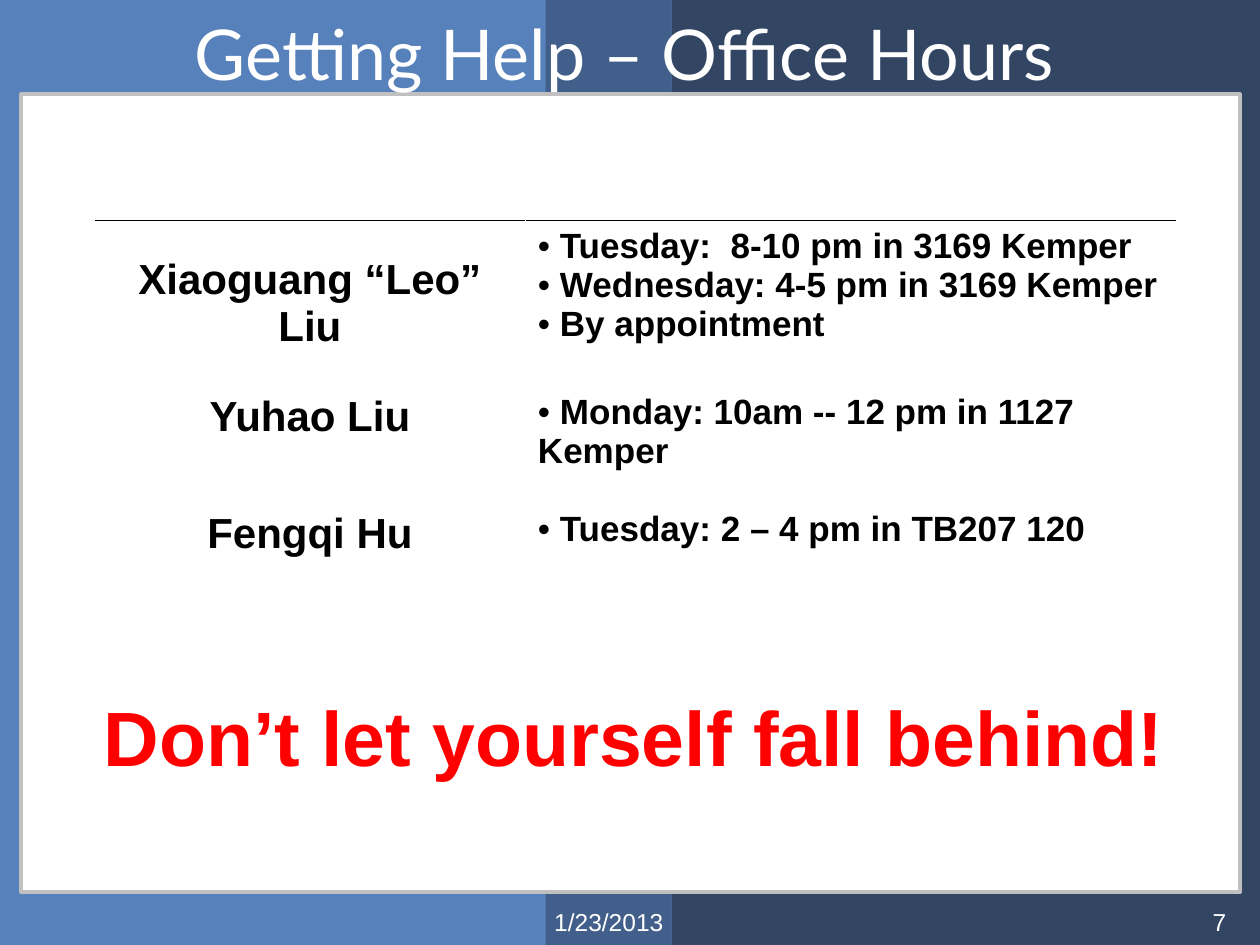
from lxml import etree
from pptx import Presentation
from pptx.dml.color import RGBColor
from pptx.enum import shapes, text
from pptx.oxml.ns import qn
from pptx.util import Inches, Pt

COLORS = {"blue": "5781BB", "mid": "415F8A", "navy": "324664", "white": "FFFFFF",
          "silver": "C0C0C0", "red": "FF0000", "black": "000000"}
LEFT, CENTER, RIGHT = text.PP_ALIGN.LEFT, text.PP_ALIGN.CENTER, text.PP_ALIGN.RIGHT
TOP, MIDDLE = text.MSO_ANCHOR.TOP, text.MSO_ANCHOR.MIDDLE

TITLE = "Getting Help – Office Hours"
# fill, outline, (left, top, width, height)
BACKDROP = [
    ("blue", None, (0, 0, 6.42, 7.5)),
    ("mid", None, (4.33, 0, 1, 7.5)),
    ("navy", None, (5.33, 0, 4.67, 7.5)),
    ("white", "silver", (0.17, 0.75, 9.67, 6.33)),
]
# wording, box, alignment, font
CAPTIONS = [
    ("1/23/2013", (4.3, 7.15, 1.08, 0.35), LEFT, dict(size=14, color="white")),
    ("7", (7.5, 7.15, 2.33, 0.35), RIGHT, dict(size=14, color="white")),
    ("Don’t let yourself fall behind! ", (0.58, 5.42, 9.08, 0.84), CENTER,
     dict(size=44, color="red", bold=True)),
]
# name, anchor of the name, row height, hours
OFFICE_HOURS = [
    ("Xiaoguang “Leo” Liu", MIDDLE, 1.32, ["Tuesday:  8-10 pm in 3169 Kemper",
                                           "Wednesday: 4-5 pm in 3169 Kemper",
                                           "By appointment"]),
    ("Yuhao Liu", TOP, 0.93, ["Monday: 10am -- 12 pm in 1127 Kemper"]),
    ("Fengqi Hu", TOP, 0.83, ["Tuesday: 2 – 4 pm in TB207 120"]),
]
COLUMNS = [3.42, 5.17]


def rgb(name):
    return RGBColor.from_string(COLORS[name])


def inches(box):
    return [Inches(length) for length in box]


def write(paragraph, wording, align, size, color="black", name="Arial", bold=False):
    paragraph.alignment = align
    run = paragraph.add_run()
    run.text = wording
    for key, value in dict(size=Pt(size), name=name, bold=bold).items():
        setattr(run.font, key, value)
    run.font.color.rgb = rgb(color)


def add_bullet(paragraph):
    """Set a bullet with no indent, so wrapped lines start below it."""
    properties = paragraph._p.get_or_add_pPr()
    properties.set("marL", "0")
    properties.set("indent", "0")
    etree.SubElement(properties, qn("a:buFont"), typeface="Arial")
    etree.SubElement(properties, qn("a:buChar"), char="•")


def add_border(cell, side, color):
    line = etree.SubElement(cell._tc.get_or_add_tcPr(), qn(f"a:ln{side}"), w=str(Pt(1)))
    fill = etree.SubElement(line, qn("a:solidFill"))
    etree.SubElement(fill, qn("a:srgbClr"), val=COLORS[color])


def add_backdrop(slide):
    for fill, outline, box in BACKDROP:
        panel = slide.shapes.add_shape(shapes.MSO_SHAPE.RECTANGLE, *inches(box))
        panel.shadow.inherit = False
        panel.fill.solid()
        panel.fill.fore_color.rgb = rgb(fill)
        if outline:
            panel.line.color.rgb = rgb(outline)
            panel.line.width = Pt(2.25)
        else:
            panel.line.fill.background()


def add_title(slide):
    title = slide.shapes.title
    slide.shapes._spTree.append(title._element)  # in front of the backdrop
    title.left, title.top, title.width, title.height = inches((0.33, 0.08, 9.25, 0.67))
    title.text_frame.auto_size = text.MSO_AUTO_SIZE.NONE
    title.text_frame.vertical_anchor = MIDDLE
    write(title.text_frame.paragraphs[0], TITLE, CENTER, 40, "white", "Lato")


def add_captions(slide):
    for wording, box, align, font in CAPTIONS:
        frame = slide.shapes.add_textbox(*inches(box)).text_frame
        frame.word_wrap = True
        write(frame.paragraphs[0], wording, align, **font)


def add_hours_table(slide):
    height = sum(row[2] for row in OFFICE_HOURS)
    table = slide.shapes.add_table(len(OFFICE_HOURS), len(COLUMNS),
                                   *inches((0.75, 1.75, sum(COLUMNS), height))).table
    table.first_row = table.horz_banding = False
    for column, width in zip(table.columns, COLUMNS):
        column.width = Inches(width)
    for index, (name, anchor, height, hours) in enumerate(OFFICE_HOURS):
        row = table.rows[index]
        row.height = Inches(height)
        for cell in row.cells:
            add_border(cell, "T", "white" if index else "black")
            add_border(cell, "B", "white")
            cell.fill.background()
        name_cell, hours_cell = row.cells
        name_cell.vertical_anchor = anchor
        write(name_cell.text_frame.paragraphs[0], name, CENTER, 24, bold=True)
        frame = hours_cell.text_frame
        for position, slot in enumerate(hours):
            paragraph = frame.add_paragraph() if position else frame.paragraphs[0]
            add_bullet(paragraph)
            write(paragraph, " " + slot, LEFT, 20, bold=True)


def main():
    deck = Presentation()
    deck.slide_width, deck.slide_height = Inches(10), Inches(7.5)
    slide = deck.slides.add_slide(deck.slide_layouts.get_by_name("Title Only"))
    add_backdrop(slide)
    add_title(slide)
    add_captions(slide)
    add_hours_table(slide)
    deck.save("out.pptx")


if __name__ == "__main__":
    main()
